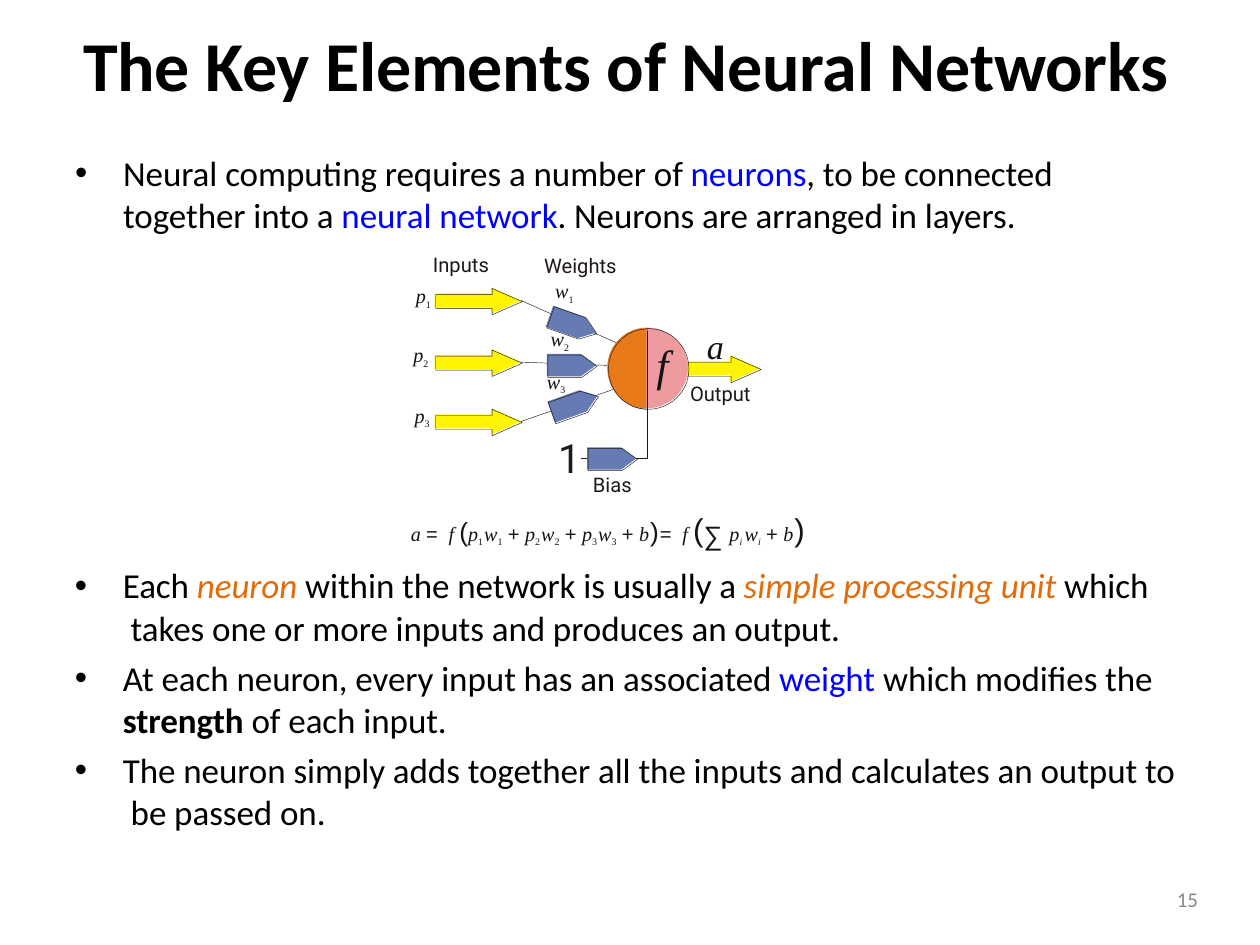
from dataclasses import dataclass
from math import cos, radians, sin
from typing import Callable, Optional

from lxml.etree import SubElement
from pptx import Presentation
from pptx.dml.color import RGBColor
from pptx.enum.shapes import MSO_CONNECTOR, MSO_SHAPE
from pptx.enum.text import PP_ALIGN
from pptx.oxml.ns import qn
from pptx.util import Pt

BLACK, BLUE, RUST, GRAY = "000000", "0000FF", "E36C09", "888888"
INK, DARK = "1F1A17", "121516"
GOLD, SLATE, PINK, AMBER = "FFF500", "667AB4", "ED9B9F", "E77918"
SHIFT = 0.6  # offset of each outline from its fill


@dataclass
class Run:
    text: str
    color: str = BLACK
    size: float = 20
    font: str = "Calibri"
    bold: bool = False
    slant: bool = False
    gap: float = -0.06
    base: int = 0


@dataclass
class Para:
    runs: list[Run]
    left: float = 0
    before: float = 0
    bullet: bool = False
    align: PP_ALIGN = PP_ALIGN.LEFT
    right: float = 0


@dataclass
class Block:
    x: float
    y: float
    w: float
    h: float
    paras: list[Para]
    top: float = 0.7


@dataclass
class Tag:
    x: float
    y: float
    w: float
    turn: float = 0


def tint(code: str) -> RGBColor:
    return RGBColor.from_string(code)


# Run styles
def sans(text: str, size: float = 11.5) -> Run:
    return Run(text, INK, size, "Roboto", gap=0)


def var(text: str, gap: float = 0, size: float = 11.5) -> Run:
    return Run(text, DARK, size, "Times New Roman", slant=True, gap=gap)


def sub(text: str, gap: float = 0, slant: bool = False) -> Run:
    return Run(text, DARK, 9.8, "Times New Roman", slant=slant, gap=gap, base=-26)


def sign(text: str, size: float = 11.5, gap: float = 0, base: int = 0) -> Run:
    return Run(text, DARK, size, "Arial", gap=gap, base=base)


def item(*runs: Run, before: float = 4.8, left: float = 31.7, bullet: bool = True) -> Para:
    return Para(list(runs), left, before, bullet)


def write(block: Block) -> None:
    box = slide.shapes.add_textbox(Pt(block.x), Pt(block.y), Pt(block.w), Pt(block.h))
    frame = box.text_frame
    frame.word_wrap = True
    frame.margin_left = frame.margin_right = frame.margin_bottom = 0
    frame.margin_top = Pt(block.top)
    for num, para in enumerate(block.paras):
        line = frame.add_paragraph() if num else frame.paragraphs[0]
        line.alignment = para.align
        line.space_before = Pt(para.before)
        props = line._p.get_or_add_pPr()
        props.set("marL", str(Pt(para.left)))
        props.set("marR", str(Pt(para.right)))
        props.set("indent", str(Pt(-27.4) if para.bullet else 0))
        if para.bullet:
            SubElement(props, qn("a:buFont")).set("typeface", "Arial")
            SubElement(props, qn("a:buChar")).set("char", "•")
        for part in para.runs:
            run = line.add_run()
            run.text = part.text
            font = run.font
            font.name, font.size = part.font, Pt(part.size)
            font.bold, font.italic = part.bold, part.slant
            font.color.rgb = tint(part.color)
            attrs = run._r.get_or_add_rPr()
            attrs.set("spc", str(round(part.gap * 100)))
            if part.base:
                attrs.set("baseline", str(part.base * 1000))


def paint(shape, fill: Optional[str]):
    """Plain fill, or a thin outline when there is no fill."""
    shape.shadow.inherit = False
    if fill:
        shape.fill.solid()
        shape.fill.fore_color.rgb = tint(fill)
        shape.line.fill.background()
    else:
        shape.fill.background()
        shape.line.color.rgb = tint(INK)
        shape.line.width = Pt(0.25)
    return shape


def twin(make: Callable, fill: str):
    """A filled shape under a slightly shifted outline."""
    under = paint(make(0), fill)
    paint(make(SHIFT), None)
    return under


def preset(kind: MSO_SHAPE, x: float, y: float, w: float, h: float, fill: str,
           adjust: tuple = (), turn: float = 0):
    def make(d: float):
        shape = slide.shapes.add_shape(kind, Pt(x + d), Pt(y + d), Pt(w), Pt(h))
        for num, value in enumerate(adjust):
            shape.adjustments[num] = value
        shape.rotation = turn
        return shape
    return twin(make, fill)


def arrow(x: float, y: float):
    return preset(MSO_SHAPE.RIGHT_ARROW, x, y, 49.4, 15.1, GOLD, (0.53, 1.14))


def weight(tag: Tag) -> None:
    preset(MSO_SHAPE.PENTAGON, tag.x, tag.y, tag.w, 12.8, SLATE, (0.68,), tag.turn)


def trace(points: list[tuple[float, float]], close: bool, d: float = 0):
    dots = [(Pt(x + d), Pt(y + d)) for x, y in points]
    pen = slide.shapes.build_freeform(*dots[0])
    pen.add_line_segments(dots[1:], close=close)
    return pen.convert_to_shape()


def wire(start, x: float, y: float) -> None:
    line = slide.shapes.add_connector(MSO_CONNECTOR.STRAIGHT, 0, 0, Pt(x), Pt(y))
    line.begin_connect(start, 3)
    line.line.color.rgb = tint(INK)
    line.line.width = Pt(0.25)
    SubElement(line._element.spPr, qn("a:effectLst"))


deck = Presentation()
deck.slide_width, deck.slide_height = Pt(720), Pt(540)
slide = deck.slides.add_slide(deck.slide_layouts[6])

# Neuron: output, body, inputs, weights
arrow(385, 203)
preset(MSO_SHAPE.OVAL, 347, 187.2, 46.1, 46.1, PINK)
inputs = [arrow(248.4, y) for y in (164.2, 199.4, 233.3)]
for start, end in zip(inputs, [(352.1, 195.8), (347, 208.8), (350.6, 222.5)]):
    wire(start, *end)
for tag in (Tag(313.2, 179, 28.1, 19.4), Tag(312.5, 202.3, 28.1), Tag(314.1, 224.4, 28.1, -19.6)):
    weight(tag)

# Left half of the body, and the bias
angles = [radians(a) for a in range(90, 271, 10)]
half = [(369.4 + 22.3 * cos(a), 210.3 + 23 * sin(a)) for a in angles]
twin(lambda d: trace(half, True, d), AMBER)
paint(trace([(369.7, 189.4), (369.7, 262.1), (331.9, 262.1)], False), None)
weight(Tag(335.5, 255.6, 28.1))

# Diagram labels
for num, x, y in ((1, 234.7, 161.3), (2, 233.3, 195.1), (3, 234, 229.7)):
    write(Block(x, y, 16, 15.8, [Para([var("p"), sub(str(num))], 2.9)]))
for num, x, y in ((2, 311.8, 185.8), (3, 309.6, 210.2)):
    write(Block(x, y, 18, 15.8, [Para([var("w", -0.1), sub(str(num))], 2.9)]))
write(Block(308, 144, 48, 30.2, [
    Para([sans("Weights")], 2.9), Para([var("w", -0.5), sub("1")], 9.2, 0.7)]))
write(Block(246.7, 143.3, 36, 15.8, [Para([sans("Inputs")], 0.7)]))
write(Block(338.1, 269.3, 26, 15.8, [Para([sans("Bias")], 0.7)]))
write(Block(318.2, 246.2, 16, 29.5, [Para([sans("1", 23)], 0.7)], 1.4))
write(Block(374.4, 191.5, 12, 32.4, [Para([var("f", size=25)], 0.7)], 1.4))
write(Block(393.6, 185, 38, 48.2, [
    Para([var("a", size=19.5)], 10.4), Para([sans("Output")], 0.7, 8.5)], 1.2))

# Title, text and page number
write(Block(46.8, 11.5, 630, 49.7, [
    Para([Run("The Key Elements of Neural Networks", size=40, bold=True, gap=-0.1)], 0.7)]))
write(Block(42.3, 85.7, 570, 50.4, [
    item(Run("Neural computing requires a number of "), Run("neurons", BLUE),
         Run(", to be connected"), before=0, left=28.1),
    item(Run("together into a "), Run("neural network", BLUE),
         Run(". Neurons are arranged in layers."), before=0, left=28.1, bullet=False)]))

plus = sign("+ ")
terms = []
for num in "123":
    terms += [var("p"), sub(num, 0.6), var("w", -0.5), sub(num + " ", 0.8), plus]
formula = [var("a "), sign("= ", gap=1.5), var("f "), sign("(", 15), *terms, var("b", 0.5),
           sign(")", 15, 0.6), sign("= ", gap=1.5), var("f "), sign("(", 18, -2.8),
           sign("∑ ", 26.2, -0.2, -10), var("p"), sub("i", 1.4, True), var("w", -0.5),
           sub("i ", 0.8, True), plus, var("b", 0.5), sign(")", 18)]
write(Block(38.5, 275.8, 642.2, 190.8, [
    Para(formula, align=PP_ALIGN.CENTER, right=24.4),
    item(Run("Each "), Run("neuron ", RUST, slant=True),
         Run("within the network is usually a "),
         Run("simple processing unit ", RUST, slant=True), Run("which"), before=7.3),
    item(Run("takes one or more inputs and produces an output."),
         before=0, left=36.2, bullet=False),
    item(Run("At each neuron, every input has an associated "), Run("weight ", BLUE),
         Run("which modifies the")),
    item(Run("strength ", bold=True), Run("of each input."), before=0, bullet=False),
    item(Run("The neuron simply adds together all the inputs and calculates an output to")),
    item(Run("be passed on."), before=0, left=36.2, bullet=False)], 7.3))
write(Block(671.8, 506.5, 16, 14, [Para([Run("15", GRAY, 12, gap=0)], 0.7)], 0))

deck.save("out.pptx")
